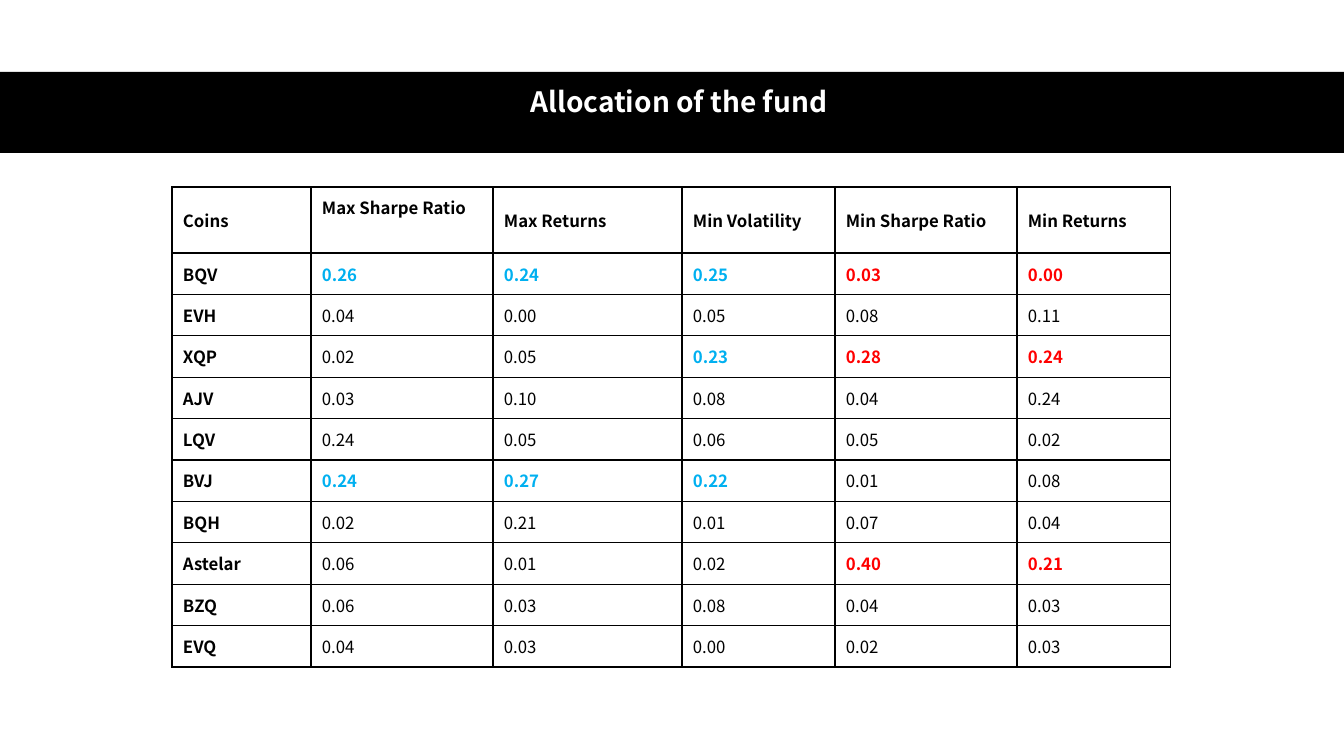
from dataclasses import dataclass

from lxml import etree
from pptx import Presentation, util as u
from pptx.dml.color import RGBColor
from pptx.enum import shapes, text
from pptx.oxml.ns import qn

EMU_PER_PX = 914400 / 100.8
FONT = "Noto Sans CJK SC"
BLACK, WHITE, BLUE, RED = "000000", "FFFFFF", "00B0F0", "FF0000"

HEADERS = ("Coins", "Max Sharpe Ratio", "Max Returns", "Min Volatility",
           "Min Sharpe Ratio", "Min Returns")
COLUMN_COLOURS = (BLACK, BLUE, BLUE, BLUE, RED, RED)
COLUMN_WIDTHS = (139, 182, 189, 153, 182, 154)
HEADER_HEIGHT, BODY_HEIGHT = 66, 414


@dataclass(frozen=True)
class Coin:
    """A table row; the highlighted columns are bold and take the column's colour."""
    name: str
    weights: tuple[str, ...]
    highlighted: tuple[int, ...] = ()


COINS = (
    Coin("BQV", ("0.26", "0.24", "0.25", "0.03", "0.00"), (1, 2, 3, 4, 5)),
    Coin("EVH", ("0.04", "0.00", "0.05", "0.08", "0.11")),
    Coin("XQP", ("0.02", "0.05", "0.23", "0.28", "0.24"), (3, 4, 5)),
    Coin("AJV", ("0.03", "0.10", "0.08", "0.04", "0.24")),
    Coin("LQV", ("0.24", "0.05", "0.06", "0.05", "0.02")),
    Coin("BVJ", ("0.24", "0.27", "0.22", "0.01", "0.08"), (1, 2, 3)),
    Coin("BQH", ("0.02", "0.21", "0.01", "0.07", "0.04")),
    Coin("Astelar", ("0.06", "0.01", "0.02", "0.40", "0.21"), (4, 5)),
    Coin("BZQ", ("0.06", "0.03", "0.08", "0.04", "0.03")),
    Coin("EVQ", ("0.04", "0.03", "0.00", "0.02", "0.03")),
)


def px(length: int) -> u.Emu:
    return u.Emu(round(length * EMU_PER_PX))


def colour(value: str) -> RGBColor:
    return RGBColor.from_string(value)


def style_font(font, size: int, value: str, bold: bool) -> None:
    font.name, font.size, font.bold = FONT, u.Pt(size), bold
    font.color.rgb = colour(value)


def add_borders(cell) -> None:
    properties = cell._tc.get_or_add_tcPr()
    for index, side in enumerate(("lnL", "lnR", "lnT", "lnB")):
        line = etree.Element(qn(f"a:{side}"), w=str(u.Pt(1)))
        fill = etree.SubElement(line, qn("a:solidFill"))
        etree.SubElement(fill, qn("a:srgbClr"), val=BLACK)
        properties.insert(index, line)


def fill_cell(cell, words: str, value: str, bold: bool) -> None:
    cell.margin_left, cell.margin_right = px(11), px(1)
    cell.margin_top = cell.margin_bottom = px(8)
    cell.vertical_anchor = text.MSO_ANCHOR.MIDDLE
    cell.fill.background()
    add_borders(cell)
    cell.text = words
    style_font(cell.text_frame.paragraphs[0].font, 12, value, bold)


def add_title(page) -> None:
    """Write the title in white on a black band."""
    band = page.shapes.add_shape(shapes.MSO_SHAPE.RECTANGLE,
                                 px(0), px(72), px(1344), px(81))
    band.shadow.inherit = False
    band.fill.solid()
    band.fill.fore_color.rgb = colour(BLACK)
    band.line.fill.background()

    title = page.shapes.title
    title.element.addprevious(band.element)
    title.left, title.top, title.width, title.height = px(61), px(71), px(1236), px(82)
    frame = title.text_frame
    frame.text = "Allocation of the fund"
    frame.word_wrap = True
    frame.auto_size = text.MSO_AUTO_SIZE.NONE
    frame.vertical_anchor = text.MSO_ANCHOR.TOP
    frame.margin_top = px(17)
    para = frame.paragraphs[0]
    para.alignment = text.PP_ALIGN.CENTER
    para.line_spacing = 0.9
    style_font(para.font, 20, WHITE, True)


def add_allocation_table(page) -> None:
    table = page.shapes.add_table(
        len(COINS) + 1, len(HEADERS), px(172), px(187),
        px(sum(COLUMN_WIDTHS)), px(HEADER_HEIGHT + BODY_HEIGHT)).table
    table.first_row = table.horz_banding = False
    for column, width in zip(table.columns, COLUMN_WIDTHS):
        column.width = px(width)
    for row in table.rows:
        row.height = u.Emu(px(BODY_HEIGHT) // len(COINS))
    table.rows[0].height = px(HEADER_HEIGHT)

    for column, header in enumerate(HEADERS):
        fill_cell(table.cell(0, column), header, BLACK, True)
    table.cell(0, 1).vertical_anchor = text.MSO_ANCHOR.TOP
    for row, coin in enumerate(COINS, start=1):
        for column, words in enumerate((coin.name, *coin.weights)):
            marked = column in coin.highlighted
            fill_cell(table.cell(row, column), words,
                      COLUMN_COLOURS[column] if marked else BLACK,
                      marked or column == 0)


def main() -> None:
    deck = Presentation()
    deck.slide_width, deck.slide_height = px(1344), px(756)
    page = deck.slides.add_slide(deck.slide_layouts.get_by_name("Title Only"))
    add_title(page)
    add_allocation_table(page)
    deck.save("out.pptx")


if __name__ == "__main__":
    main()
